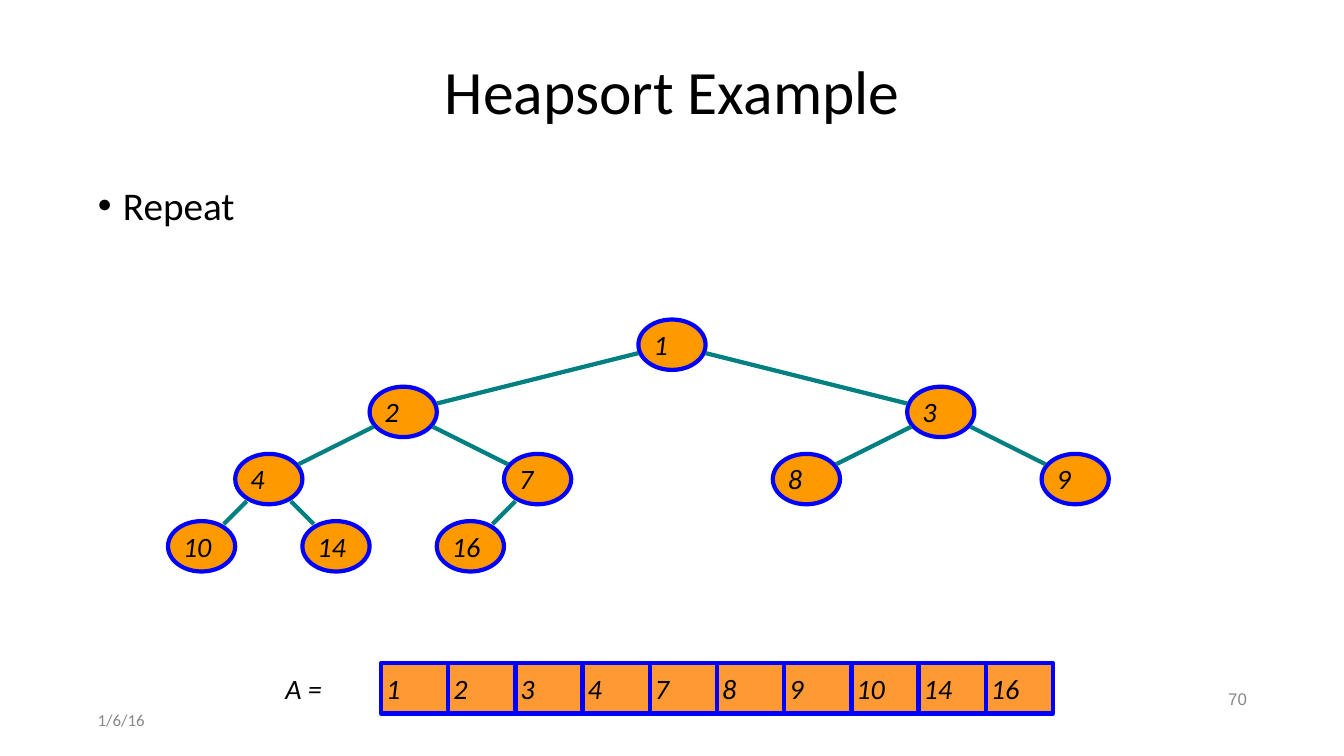
import pptx
import pptx.dml.color
import pptx.enum.shapes
import pptx.enum.text
import pptx.util
from lxml import etree

HEAP = (1, 2, 3, 4, 7, 8, 9, 10, 14, 16)
WIDTH, HEIGHT = 13.333, 7.5
CELL = WIDTH / 20
SHAPE_HEIGHT = HEIGHT / 15
TREE_LEFT, TREE_SPAN = 2 * CELL, 16 * CELL
ROOT_Y = 3.42
EDGE_TRIMS = (0.125, 0.22, 0.33)
ARRAY_LEFT, ARRAY_TOP = 3.78, 6.58
LABEL_DROP, LABEL_HEIGHT = 0.03, 0.43
LABEL_WIDTHS = {1: 0.25, 2: 0.4}
INSET = 0.05

BLACK, GREY, BLUE, TEAL = "000000", "888888", "0000FF", "008080"
NODE_FILL, ARRAY_FILL = "FF9900", "FF9933"
LEFT, CENTER, RIGHT = (getattr(pptx.enum.text.PP_ALIGN, name) for name in ("LEFT", "CENTER", "RIGHT"))
MIDDLE, TOP = pptx.enum.text.MSO_ANCHOR.MIDDLE, pptx.enum.text.MSO_ANCHOR.TOP
OVAL = pptx.enum.shapes.MSO_SHAPE.OVAL
RECTANGLE = pptx.enum.shapes.MSO_SHAPE.RECTANGLE


def color(value):
    return pptx.dml.color.RGBColor.from_string(value)


def inches(*lengths):
    return [pptx.util.Inches(length) for length in lengths]


def add_text(shapes, box, text, size, fill=BLACK, align=LEFT, anchor=MIDDLE,
             font="Calibri", italic=False, wrap=True, spacing=1.0, bullet=None):
    frame = shapes.add_textbox(*inches(*box)).text_frame
    frame.word_wrap = wrap
    frame.vertical_anchor = anchor
    frame.margin_left = frame.margin_right = pptx.util.Inches(INSET)
    frame.margin_top = frame.margin_bottom = pptx.util.Inches(INSET)
    paragraph = frame.paragraphs[0]
    paragraph.text = text
    paragraph.alignment = align
    paragraph.line_spacing = spacing
    if bullet:
        properties = paragraph._p.get_or_add_pPr()
        indent = pptx.util.Inches(0.25)
        properties.set("marL", str(indent))
        properties.set("indent", str(-indent))
        namespace = properties.nsmap["a"]
        etree.SubElement(properties, f"{{{namespace}}}buFont", typeface="Arial")
        etree.SubElement(properties, f"{{{namespace}}}buChar", char=bullet)
    paragraph.font.name = font
    paragraph.font.size = pptx.util.Pt(size)
    paragraph.font.italic = italic
    paragraph.font.color.rgb = color(fill)


def add_label(shapes, left, top, width, text):
    add_text(shapes, (left, top + LABEL_DROP, width, LABEL_HEIGHT), text, 20, italic=True, wrap=False)


def add_value(slide, kind, left, top, fill, value, label_shift):
    group = slide.shapes.add_group_shape()
    shape = group.shapes.add_shape(kind, *inches(left, top, CELL, SHAPE_HEIGHT))
    shape.shadow.inherit = False
    shape.fill.solid()
    shape.fill.fore_color.rgb = color(fill)
    shape.line.color.rgb = color(BLUE)
    shape.line.width = pptx.util.Pt(3)
    text = str(value)
    add_label(group.shapes, left + label_shift, top, LABEL_WIDTHS[len(text)], text)


def level_of(index):
    return (index + 1).bit_length() - 1


def node_center(index):
    level = level_of(index)
    place = index + 1 - 2 ** level
    return TREE_LEFT + TREE_SPAN * (place + 0.5) / 2 ** level, ROOT_Y + level * CELL


def add_edge(slide, child):
    parent = (child - 1) // 2
    trim = EDGE_TRIMS[level_of(parent)]
    (x1, y1), (x2, y2) = node_center(parent), node_center(child)
    dx, dy = (x2 - x1) * trim, (y2 - y1) * trim
    edge = slide.shapes.add_connector(
        pptx.enum.shapes.MSO_CONNECTOR.STRAIGHT, *inches(x1 + dx, y1 + dy, x2 - dx, y2 - dy))
    edge.line.color.rgb = color(TEAL)
    edge.line.width = pptx.util.Pt(3)
    properties = edge._element.spPr
    etree.SubElement(properties, f"{{{properties.nsmap['a']}}}effectLst")


def main():
    """Build the heapsort slide with its tree and its array."""
    presentation = pptx.Presentation()
    presentation.slide_width, presentation.slide_height = inches(WIDTH, HEIGHT)
    slide = presentation.slides.add_slide(presentation.slide_layouts[6])
    shapes = slide.shapes
    add_text(shapes, (0.92, 7, 3, 0.29), "1/6/16", 12, GREY)
    add_text(shapes, (9.42, 6.8, 3, 0.29), "70", 12, GREY, RIGHT, font="Arial", spacing=0.9)
    add_text(shapes, (0.92, 0.4, 11.5, 1.07), "Heapsort Example", 44, align=CENTER, spacing=0.9)
    add_text(shapes, (0.92, 1.8, 4.05, 0.69), "Repeat", 28, anchor=TOP, spacing=0.9, bullet="•")
    for index, value in enumerate(HEAP):
        x, y = node_center(index)
        add_value(slide, OVAL, x - CELL / 2, y - SHAPE_HEIGHT / 2, NODE_FILL, value, 0.1)
    for child in range(1, len(HEAP)):
        add_edge(slide, child)
    for index, value in enumerate(HEAP):
        add_value(slide, RECTANGLE, ARRAY_LEFT + index * CELL, ARRAY_TOP, ARRAY_FILL, value, 0)
    add_label(shapes, ARRAY_LEFT - 1.5 * CELL, ARRAY_TOP, 0.48, "A =")
    presentation.save("out.pptx")


if __name__ == "__main__":
    main()
